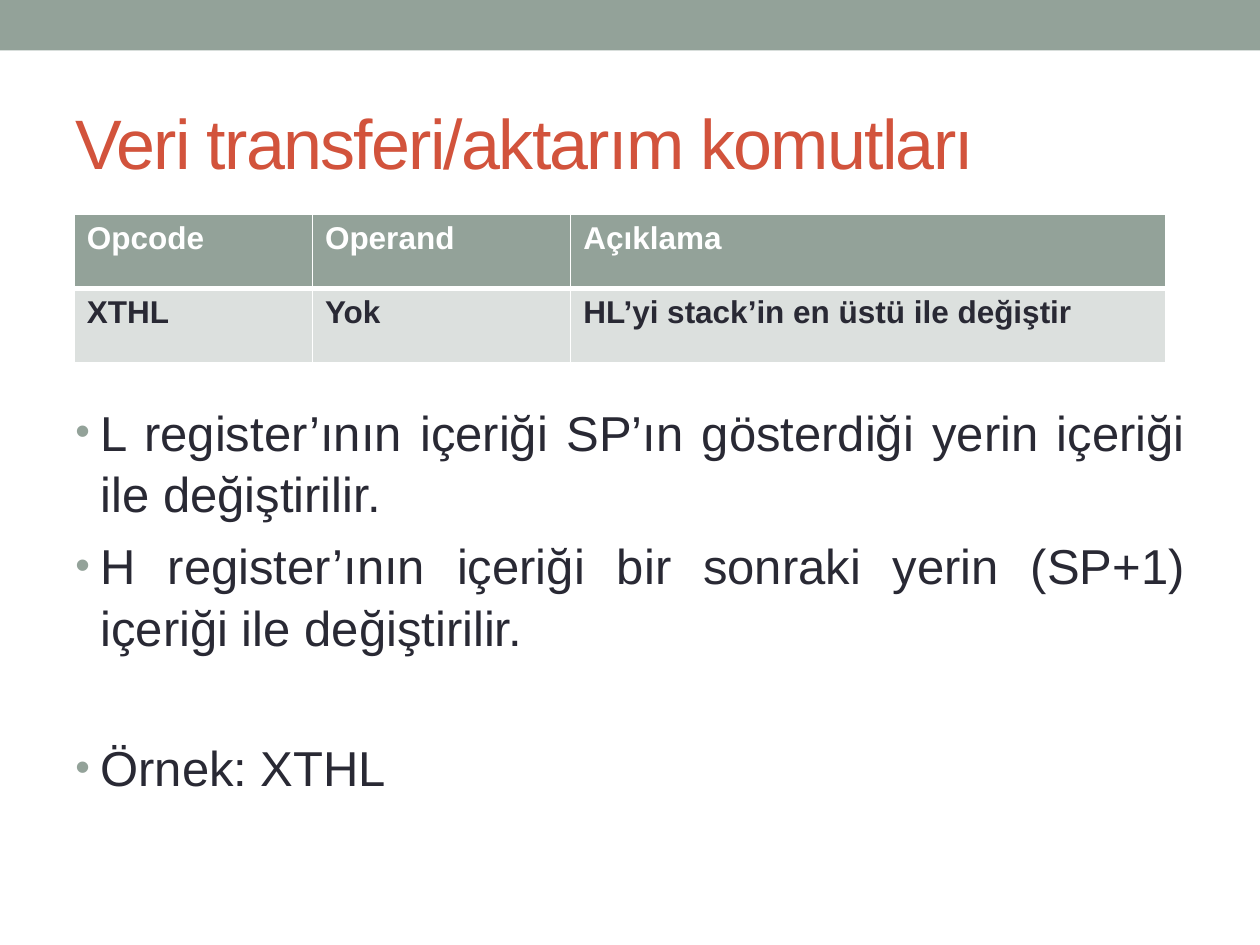
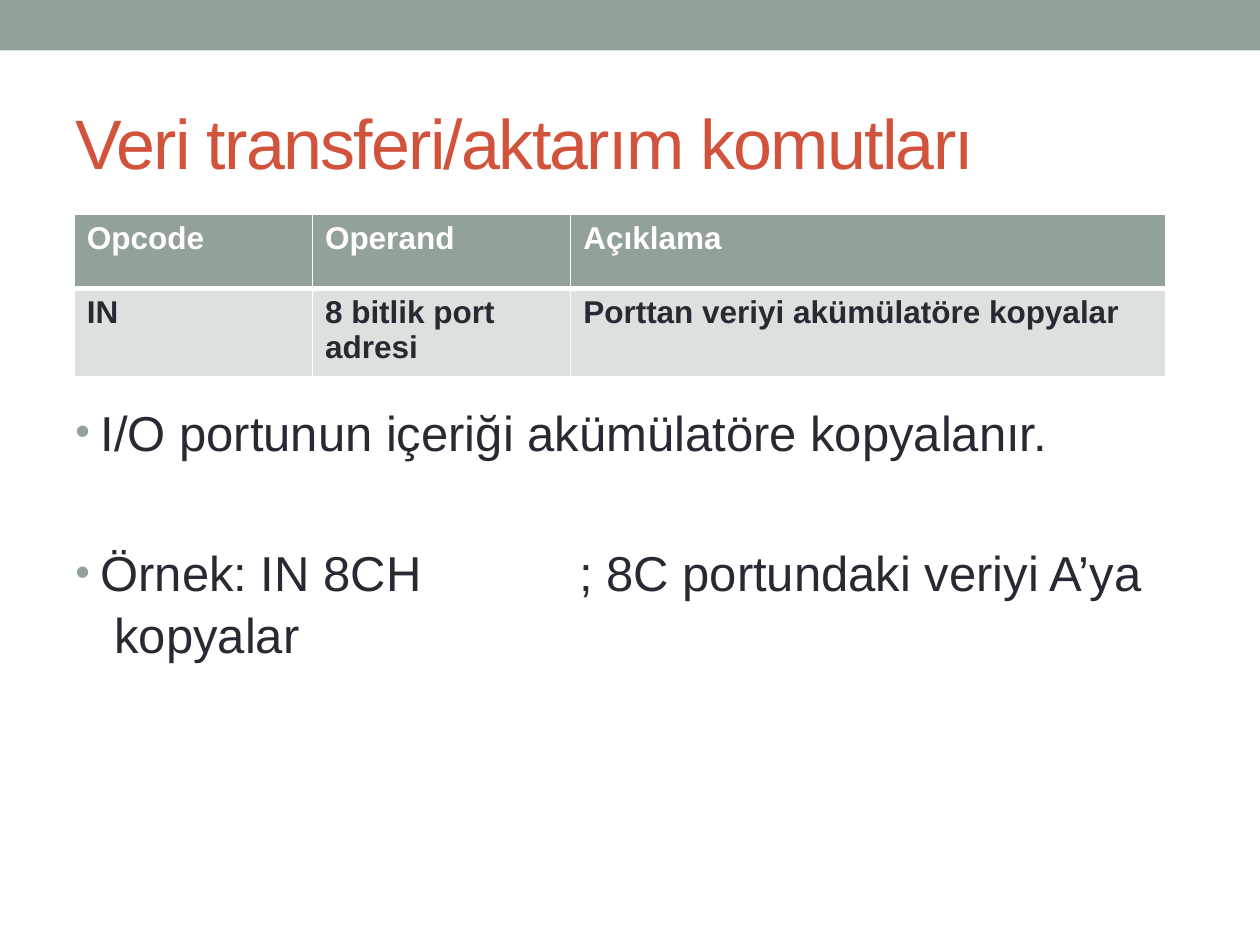
import pptx
import pptx.util
import pptx.dml.color
import pptx.enum.shapes
import pptx.enum.text
import pptx.oxml.ns
from lxml import etree

Inches, Pt = pptx.util.Inches, pptx.util.Pt
qn = pptx.oxml.ns.qn
ALIGN = pptx.enum.text.PP_ALIGN

TITLE = "Veri transferi/aktarım komutları"
HEADINGS = ["Opcode", "Operand", "Açıklama"]
INSTRUCTIONS = [
    {
        "row": ["XTHL", "Yok", "HL’yi stack’in en üstü ile değiştir"],
        "steps": [
            "L register’ının içeriği SP’ın gösterdiği yerin içeriği ile değiştirilir.",
            "H register’ının içeriği bir sonraki yerin (SP+1) içeriği ile değiştirilir.",
        ],
        "example": ["Örnek: XTHL"],
    },
    {
        "row": ["IN", "8 bitlik port adresi", "Porttan veriyi akümülatöre kopyalar"],
        "steps": ["I/O portunun içeriği akümülatöre kopyalanır."],
        "example": ["Örnek: IN 8CH\t; 8C portundaki veriyi A’ya", "\tkopyalar"],
    },
]

FONT = "Arial"
COLORS = {"sage": "93A299", "title": "D2533C", "ink": "292934",
          "pale": "DCE0DE", "white": "FFFFFF"}
COLUMN_WIDTHS = [1.89, 2.05, 4.72]
ROW_HEIGHT = 0.59
INDENT = 0.2
TAB_STOPS = [0.31, 4]
STEP_GAP, EXAMPLE_GAP = 5.6, 44.8


def rgb(name):
    return pptx.dml.color.RGBColor.from_string(COLORS[name])


def add_text(paragraph, text, size, color, bold=False):
    run = paragraph.add_run()
    run.text = text
    run.font.name, run.font.size, run.font.bold = FONT, Pt(size), bold
    run.font.color.rgb = rgb(color)
    return run


def add_child(parent, tag, **attributes):
    return etree.SubElement(parent, qn(tag), {k: str(v) for k, v in attributes.items()})


def add_band(slide):
    band = slide.shapes.add_shape(pptx.enum.shapes.MSO_SHAPE.RECTANGLE,
                                  0, 0, Inches(10), Inches(0.4))
    band.shadow.inherit = False
    band.fill.solid()
    band.fill.fore_color.rgb = rgb("sage")
    band.line.fill.background()


def add_title(slide):
    title = slide.shapes.title
    title.left, title.top, title.width, title.height = map(Inches, (0.5, 0.58, 9, 1.08))
    frame = title.text_frame
    frame.vertical_anchor = pptx.enum.text.MSO_ANCHOR.MIDDLE
    frame.auto_size = pptx.enum.text.MSO_AUTO_SIZE.NONE
    frame.paragraphs[0].alignment = ALIGN.LEFT
    run = add_text(frame.paragraphs[0], TITLE, 40, "title")
    run.font._element.set("spc", "-100")


def add_border(cell, side, points):
    line = add_child(cell._tc.get_or_add_tcPr(), "a:" + side, w=Pt(points))
    add_child(add_child(line, "a:solidFill"), "a:srgbClr", val=COLORS["white"])


def add_instruction_table(slide, row):
    table = slide.shapes.add_table(
        2, len(HEADINGS), Inches(0.59), Inches(1.7),
        Inches(sum(COLUMN_WIDTHS)), Inches(2 * ROW_HEIGHT)).table
    for column, width in zip(table.columns, COLUMN_WIDTHS):
        column.width = Inches(width)
    looks = [(HEADINGS, "sage", "white", 1, 3), (row, "pale", "ink", 3, 1)]
    for r, (texts, fill, color, top, bottom) in enumerate(looks):
        for c, text in enumerate(texts):
            cell = table.cell(r, c)
            for side, points in (("lnL", 1), ("lnR", 1), ("lnT", top), ("lnB", bottom)):
                add_border(cell, side, points)
            cell.fill.solid()
            cell.fill.fore_color.rgb = rgb(fill)
            add_text(cell.text_frame.paragraphs[0], text, 18, color, True)


def format_bullet(paragraph, tabbed):
    props = paragraph._p.get_or_add_pPr()
    props.set("marL", str(Inches(INDENT)))
    props.set("indent", str(-Inches(INDENT)))
    add_child(add_child(props, "a:buClr"), "a:srgbClr", val=COLORS["sage"])
    add_child(props, "a:buSzPct", val=85000)
    add_child(props, "a:buFont", typeface=FONT)
    add_child(props, "a:buChar", char="•")
    if tabbed:
        tabs = add_child(props, "a:tabLst")
        for stop in TAB_STOPS:
            add_child(tabs, "a:tab", pos=Inches(stop), algn="l")


def add_explanation(slide, steps, example):
    frame = slide.shapes.add_textbox(*map(Inches, (0.5, 3.12, 9, 3.96))).text_frame
    frame.word_wrap = True
    bullets = [[step] for step in steps] + [example]
    for i, lines in enumerate(bullets):
        paragraph = frame.add_paragraph() if i else frame.paragraphs[0]
        tabbed = len(lines) > 1
        format_bullet(paragraph, tabbed)
        paragraph.alignment = ALIGN.LEFT if tabbed else ALIGN.JUSTIFY
        paragraph.line_spacing = 1.05
        if i:
            paragraph.space_before = Pt(EXAMPLE_GAP if lines is example else STEP_GAP)
        for n, line in enumerate(lines):
            if n:
                paragraph.add_line_break()
            add_text(paragraph, line, 28, "ink")


def main():
    deck = pptx.Presentation()
    deck.slide_width, deck.slide_height = Inches(10), Inches(7.5)
    for instruction in INSTRUCTIONS:
        slide = deck.slides.add_slide(deck.slide_layouts[5])
        add_band(slide)
        add_title(slide)
        add_explanation(slide, instruction["steps"], instruction["example"])
        add_instruction_table(slide, instruction["row"])
    deck.save("out.pptx")


if __name__ == "__main__":
    main()
